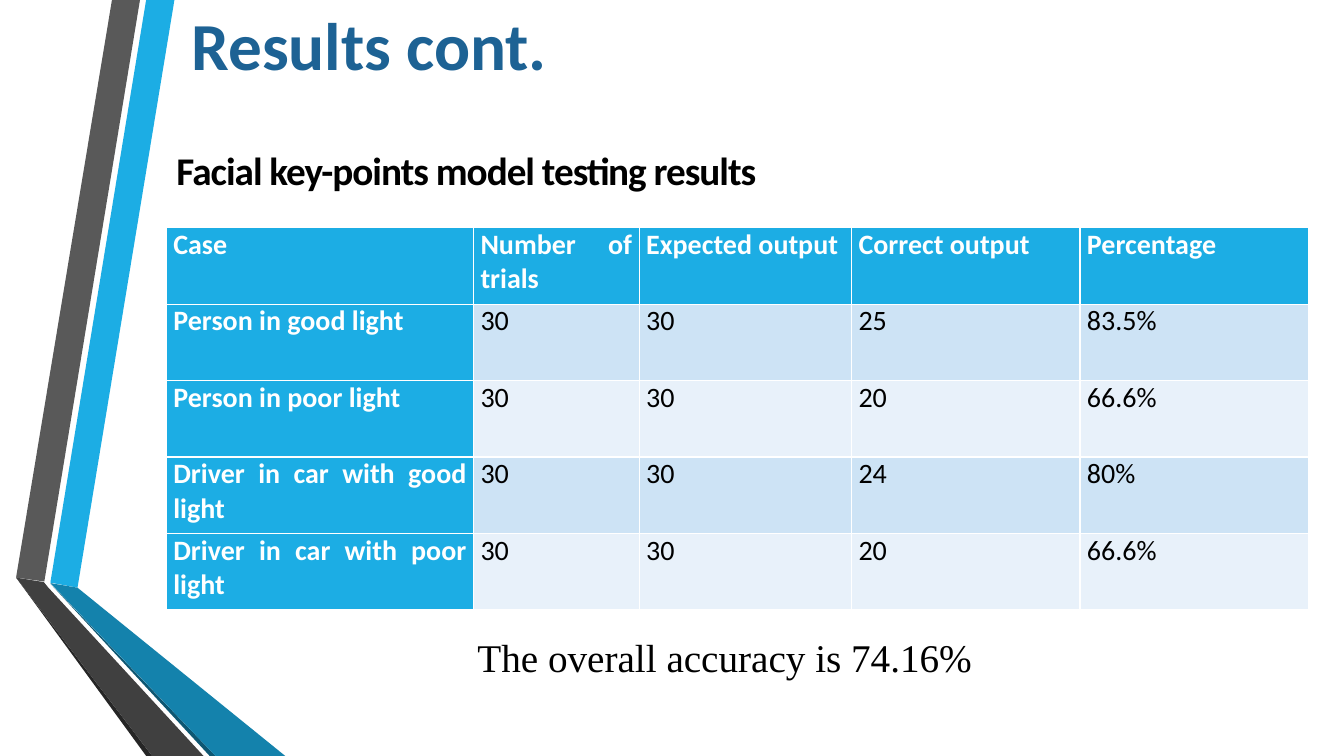
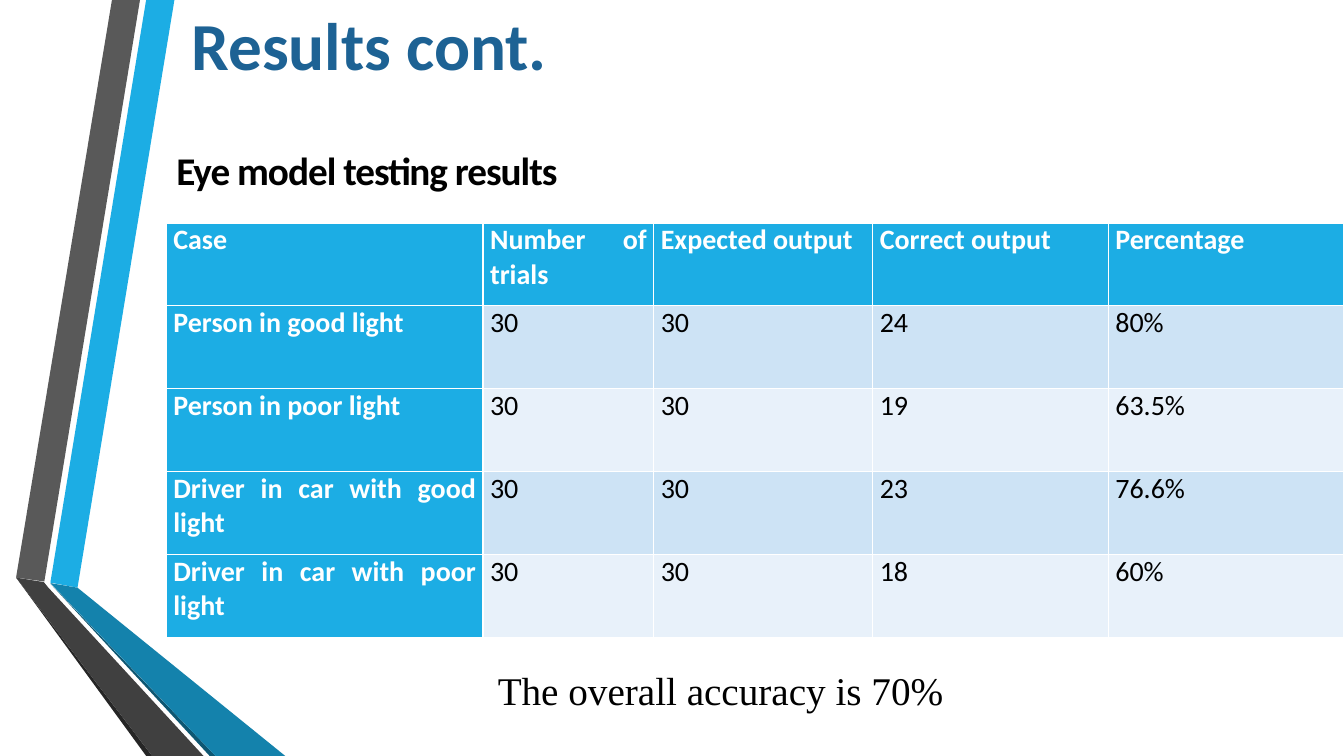
from lxml import etree
from pptx import Presentation
from pptx.dml.color import RGBColor
from pptx.enum import text
from pptx.oxml import ns
from pptx.util import Pt

SKY = RGBColor(0x1C, 0xAD, 0xE4)
TEAL = RGBColor(0x14, 0x82, 0xAC)
DEEP_TEAL = RGBColor(0x0E, 0x57, 0x72)
GREY = RGBColor(0x59, 0x59, 0x59)
DARK_GREY = RGBColor(0x40, 0x40, 0x40)
CHARCOAL = RGBColor(0x26, 0x26, 0x26)
TITLE_BLUE = RGBColor(0x1D, 0x62, 0x94)
ROW_BLUE = RGBColor(0xCD, 0xE3, 0xF5)
ROW_PALE = RGBColor(0xE8, 0xF1, 0xFA)
WHITE = RGBColor(0xFF, 0xFF, 0xFF)
BLACK = RGBColor(0, 0, 0)

SLIDE_W, SLIDE_H = 960, 540
LEFT = 118.8

BANDS = [
    (SKY, [(36, 416.2), (55.4, 419.8), (124.6, 0), (104.4, 0)]),
    (GREY, [(100, 0), (80, 0), (11.5, 412.6), (31.7, 415.4)]),
    (CHARCOAL, [(11.5, 412.6), (104.4, 540), (108.7, 540)]),
    (DEEP_TEAL, [(36, 416.9), (149.8, 540), (154, 540)]),
    (TEAL, [(36, 416.5), (154, 540), (203.8, 540), (55.4, 419.8)]),
    (DARK_GREY, [(145.4, 540), (34.6, 419.8), (31.3, 415.8), (11.5, 412.6), (108.7, 540)]),
]

TITLE_FONT = {"name": "Calibri", "size": Pt(48), "bold": True}
SUBHEAD_FONT = {"name": "Calibri", "size": Pt(28), "bold": True}
CAPTION_FONT = {"name": "Times New Roman", "size": Pt(28), "bold": False}
CELL_FONT = {"name": "Calibri", "size": Pt(20)}

HEADERS = ["Case", "Number of trials", "Expected output", "Correct output", "Percentage"]
COLUMN_PERCENTS = [26.9, 14.5, 18.6, 20, 20]
CASES = ["Person in good light", "Person in poor light",
         "Driver in car with good light", "Driver in car with poor light"]
TRIALS = "30"

RESULTS = [
    {"subhead": "Facial key-points model testing results",
     "scores": [("25", "83.5%"), ("20", "66.6%"), ("24", "80%"), ("20", "66.6%")],
     "table_top": 162.7, "table_width": 815.8, "row_height": 54.6,
     "caption": "The overall accuracy is 74.16%", "caption_at": (334, 448.6)},
    {"subhead": "Eye model testing results",
     "scores": [("24", "80%"), ("19", "63.5%"), ("23", "76.6%"), ("18", "60%")],
     "table_top": 159.3, "table_width": 841.2, "row_height": 59.2,
     "caption": "The overall accuracy is 70%", "caption_at": (348.5, 472.3)},
]


def set_attributes(target, values):
    for name, value in values.items():
        setattr(target, name, value)


def place(sp, left, top, width, height):
    set_attributes(sp, {"left": Pt(left), "top": Pt(top),
                        "width": Pt(width), "height": Pt(height)})


def write(p, content, font, color):
    r = p.add_run()
    r.text = content
    set_attributes(r.font, font)
    r.font.color.rgb = color
    return r


def set_frame(tf, anchor):
    set_attributes(tf, {"word_wrap": True, "auto_size": text.MSO_AUTO_SIZE.NONE,
                        "vertical_anchor": anchor})


def add_band(s, color, points):
    start, *rest = [(Pt(x), Pt(y)) for x, y in points]
    builder = s.shapes.build_freeform(*start)
    builder.add_line_segments(rest, close=True)
    sp = builder.convert_to_shape()
    sp.shadow.inherit = False
    sp.fill.solid()
    sp.fill.fore_color.rgb = color
    sp.line.fill.background()
    return sp


def move_bands_to_layout(s, layout):
    """Draw the bands on a slide, then hand them to its layout, behind the placeholders."""
    bands = [add_band(s, color, points) for color, points in BANDS]
    for i, sp in enumerate(bands):
        sp.element.xpath(".//p:cNvPr")[0].set("id", str(20 + i))
        layout.shapes.element.insert(2 + i, sp.element)


def place_layout_placeholders(layout):
    title, body = layout.placeholders[0], layout.placeholders[1]
    place(title, LEFT, -1.4, 767.5, 72.7)
    place(body, LEFT, 104.4, 657.4, 38.2)


def add_title(s, content):
    tf = s.shapes.title.text_frame
    set_frame(tf, text.MSO_ANCHOR.TOP)
    tf.margin_left = Pt(18)
    p = tf.paragraphs[0]
    p.alignment = text.PP_ALIGN.LEFT
    write(p, content, TITLE_FONT, TITLE_BLUE)


def add_subhead(s, content):
    tf = s.placeholders[1].text_frame
    set_frame(tf, text.MSO_ANCHOR.TOP)
    p = tf.paragraphs[0]
    set_attributes(p, {"line_spacing": 0.9, "space_before": Pt(0)})
    pPr = p._p.get_or_add_pPr()
    pPr.set("marL", "0")
    pPr.set("indent", "0")
    etree.SubElement(pPr, ns.qn("a:buNone"))
    r = write(p, content, SUBHEAD_FONT, BLACK)
    r._r.get_or_add_rPr().set("spc", "-70")


def fill_cell(cell, content, is_heading, fill):
    set_attributes(cell, {"margin_left": Pt(5), "margin_right": Pt(5),
                          "margin_top": 0, "margin_bottom": 0})
    cell.fill.solid()
    cell.fill.fore_color.rgb = SKY if is_heading else fill
    p = cell.text_frame.paragraphs[0]
    p.alignment = text.PP_ALIGN.JUSTIFY
    write(p, content, {**CELL_FONT, "bold": is_heading}, WHITE if is_heading else BLACK)


def add_results_table(s, scores, top, width, row_height):
    rows = [HEADERS] + [[case, TRIALS, TRIALS, *score] for case, score in zip(CASES, scores)]
    table = s.shapes.add_table(len(rows), len(HEADERS), Pt(LEFT), Pt(top),
                               Pt(width), Pt(row_height * len(rows))).table
    table.first_col = True
    for column, percent in zip(table.columns, COLUMN_PERCENTS):
        column.width = Pt(width * percent / 100)
    for i, row in enumerate(rows):
        table.rows[i].height = Pt(row_height)
        fill = ROW_BLUE if i % 2 else ROW_PALE
        for j, content in enumerate(row):
            fill_cell(table.cell(i, j), content, i == 0 or j == 0, fill)


def add_caption(s, content, left, top):
    sp = s.shapes.add_textbox(Pt(left), Pt(top), Pt(SLIDE_W - left), Pt(41))
    set_frame(sp.text_frame, text.MSO_ANCHOR.MIDDLE)
    write(sp.text_frame.paragraphs[0], content, CAPTION_FONT, BLACK)


def main():
    prs = Presentation()
    prs.slide_width, prs.slide_height = Pt(SLIDE_W), Pt(SLIDE_H)
    layout = prs.slide_layouts[1]
    place_layout_placeholders(layout)
    for result in RESULTS:
        s = prs.slides.add_slide(layout)
        add_title(s, "Results cont.")
        add_subhead(s, result["subhead"])
        add_results_table(s, result["scores"], result["table_top"],
                          result["table_width"], result["row_height"])
        add_caption(s, result["caption"], *result["caption_at"])
    move_bands_to_layout(prs.slides[0], layout)
    prs.save("out.pptx")


if __name__ == "__main__":
    main()
